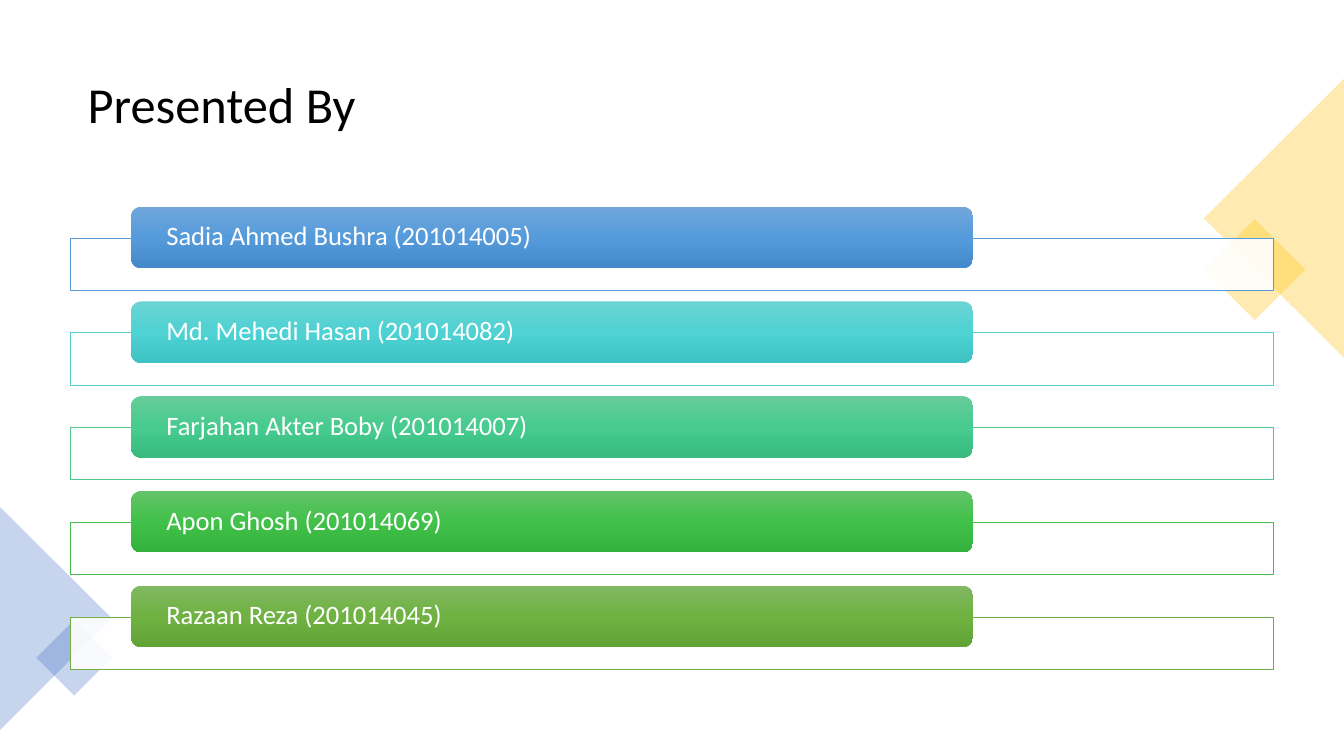
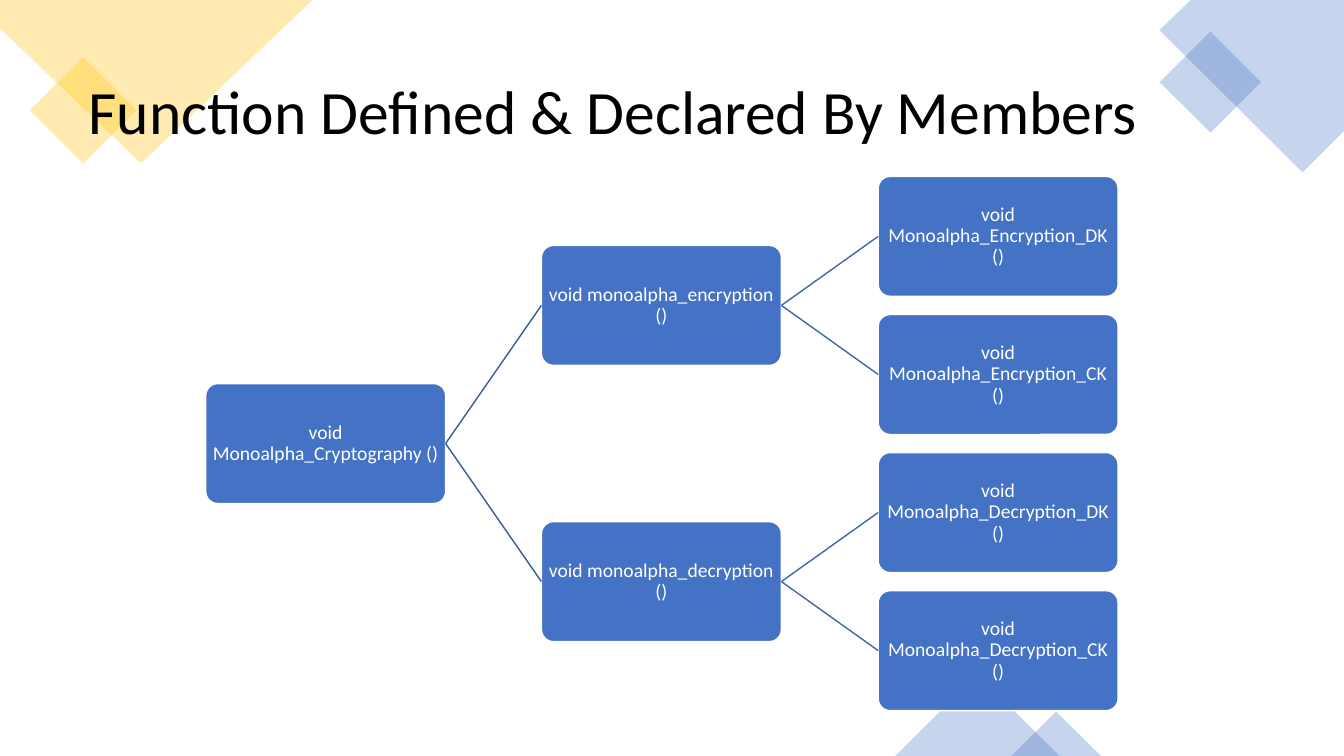
"""Build a two-slide deck: the presenters and the tree of functions they wrote."""
from copy import deepcopy

from lxml.etree import SubElement
from pptx import Presentation
from pptx.dml.color import RGBColor
from pptx.enum.shapes import MSO_CONNECTOR, MSO_SHAPE
from pptx.enum.text import MSO_ANCHOR, MSO_AUTO_SIZE, PP_ALIGN
from pptx.oxml.ns import qn
from pptx.util import Inches, Pt

FONT = "Calibri"
BLACK, WHITE = "000000", "FFFFFF"
BLUE, YELLOW = "4472C4", "FFC000"


def paint(fill, color, opacity=100):
    """Give a fill one solid colour, see-through below 100 percent."""
    fill.solid()
    fill.fore_color.rgb = RGBColor.from_string(color)
    if opacity < 100:
        solid = fill._xPr.find(qn("a:solidFill"))
        SubElement(solid[0], qn("a:alpha"), val=str(opacity * 1000))


def write(frame, text, size, color=WHITE, align=PP_ALIGN.LEFT, spacing=0.9,
          side=0.1, edge=0.05):
    """Put one formatted, vertically centred paragraph into a text frame."""
    frame.auto_size = MSO_AUTO_SIZE.NONE
    frame.word_wrap = True
    frame.vertical_anchor = MSO_ANCHOR.MIDDLE
    frame.margin_left = frame.margin_right = Inches(side)
    frame.margin_top = frame.margin_bottom = Inches(edge)
    para = frame.paragraphs[0]
    para.alignment = align
    para.line_spacing = spacing
    span = para.add_run()
    span.text = text
    span.font.name = FONT
    span.font.size = Pt(size)
    span.font.color.rgb = RGBColor.from_string(color)


deck = Presentation()
deck.slide_width, deck.slide_height = Inches(13.33), Inches(7.5)

SQUARE, TRIANGLE = MSO_SHAPE.RECTANGLE, MSO_SHAPE.ISOSCELES_TRIANGLE
pages = [
    {
        "title": ("Presented By", 36, 0.9, (0.77, 0.71, 11.93, 0.7)),
        "presets": [
            (SQUARE, (12.09, 2.32, 0.71, 0.71), 45, YELLOW),
            (TRIANGLE, (11.25, 1.47, 2.77, 1.39), 270, YELLOW),
            (TRIANGLE, (-0.55, 5.58, 2.21, 1.11), 90, BLUE),
            (SQUARE, (0.47, 6.26, 0.53, 0.53), 45, BLUE),
        ],
        "corners": [],
    },
    {
        "title": ("Function Defined & Declared By Members", 44, 1.0,
                  (0.78, 0.67, 10.93, 0.84)),
        "presets": [
            (SQUARE, (0.45, 0.72, 0.75, 0.75), 45, YELLOW),
            (SQUARE, (11.65, 0.46, 0.71, 0.71), 45, BLUE),
            (TRIANGLE, (8.88, 6.69, 1.63, 0.81), 0, BLUE),
            (TRIANGLE, (10.03, 7.06, 0.89, 0.44), 0, BLUE),
        ],
        "corners": [
            ([(0, 0), (3.1, 0), (1.4, 1.62), (0, 0.28)], YELLOW),
            ([(11.81, 0), (13.33, 0), (13.33, 1.3), (12.92, 1.71),
              (11.5, 0.3)], BLUE),
        ],
    },
]

for page in pages:
    slide = deck.slides.add_slide(deck.slide_layouts[5])
    for kind, place, rotation, color in page["presets"]:
        ornament = slide.shapes.add_shape(kind, *map(Inches, place))
        ornament.rotation = rotation
        paint(ornament.fill, color, 30)
        ornament.line.fill.background()
    for points, color in page["corners"]:
        outline = [(Inches(x), Inches(y)) for x, y in points]
        builder = slide.shapes.build_freeform(*outline[0])
        builder.add_line_segments(outline[1:], close=True)
        corner = builder.convert_to_shape()
        paint(corner.fill, color, 30)
        corner.line.fill.background()
    text, size, spacing, place = page["title"]
    title = slide.shapes.title
    title.left, title.top, title.width, title.height = map(Inches, place)
    write(title.text_frame, text, size, BLACK, spacing=spacing)
    slide.shapes._spTree.append(title._element)

presenters_slide, functions_slide = deck.slides

presenters = [
    ("Sadia Ahmed Bushra (201014005)", "5B9BD5", ("71A6DB", "559BDB", "448ACA")),
    ("Md. Mehedi Hasan (201014082)", "54CCCD", ("6CD3D3", "4ED2D3", "3EC2C3")),
    ("Farjahan Akter Boby (201014007)", "4DC58D", ("67CC9A", "47CB8E", "39BB7F")),
    ("Apon Ghosh (201014069)", "48BB4F", ("63C368", "42C14A", "34B23D")),
    ("Razaan Reza (201014045)", "70AD47", ("81B861", "6FB242", "62A336")),
]
BAR_TOP, BAR_STEP = 2.05, 0.94
for row, (name, border, shades) in enumerate(presenters):
    top = BAR_TOP + row * BAR_STEP
    panel = presenters_slide.shapes.add_shape(
        MSO_SHAPE.RECTANGLE, Inches(0.7), Inches(top + 0.31), Inches(11.93), Inches(0.52))
    paint(panel.fill, WHITE, 90)
    paint(panel.line.fill, border)
    panel.line.width = Pt(0.5)

    bar = presenters_slide.shapes.add_shape(
        MSO_SHAPE.ROUNDED_RECTANGLE, Inches(1.3), Inches(top), Inches(8.35), Inches(0.61))
    bar.line.fill.background()
    bar.fill.gradient()
    bar.fill.gradient_angle = 270
    stop_list = bar._element.spPr.find(qn("a:gradFill")).find(qn("a:gsLst"))
    stop_list.append(deepcopy(stop_list[0]))
    for stop, position, shade in zip(bar.fill.gradient_stops, (0, 0.5, 1), shades):
        stop.position = position
        stop.color.rgb = RGBColor.from_string(shade)
    write(bar.text_frame, name, 19, side=0.32, edge=0)

ROOT = "void Monoalpha_Cryptography ()"
ENCRYPTION = "void monoalpha_encryption ()"
DECRYPTION = "void monoalpha_decryption ()"
functions = [
    (ROOT, 0, 1.5, None),
    (ENCRYPTION, 1, 0.5, ROOT),
    (DECRYPTION, 1, 2.5, ROOT),
    ("void Monoalpha_Encryption_DK ()", 2, 0, ENCRYPTION),
    ("void Monoalpha_Encryption_CK ()", 2, 1, ENCRYPTION),
    ("void Monoalpha_Decryption_DK ()", 2, 2, DECRYPTION),
    ("void Monoalpha_Decryption_CK ()", 2, 3, DECRYPTION),
]
COLUMN_LEFTS = (2.04, 5.37, 8.71)
BRANCH_COLORS = (None, "365B9D", "3E67B2")
LEAF_TOP, LEAF_STEP = 1.75, 1.37
LEFT_SITE, RIGHT_SITE = 1, 3
boxes = {}
for name, level, row, parent in functions:
    box = functions_slide.shapes.add_shape(
        MSO_SHAPE.ROUNDED_RECTANGLE, Inches(COLUMN_LEFTS[level]),
        Inches(LEAF_TOP + row * LEAF_STEP), Inches(2.38), Inches(1.19))
    box.adjustments[0] = 0.1
    paint(box.fill, BLUE)
    paint(box.line.fill, WHITE)
    box.line.width = Pt(1)
    write(box.text_frame, name, 14, align=PP_ALIGN.CENTER, side=0.01, edge=0.01)
    boxes[name] = box
    if parent:
        branch = functions_slide.shapes.add_connector(MSO_CONNECTOR.STRAIGHT, 0, 0, 0, 0)
        branch.begin_connect(boxes[parent], RIGHT_SITE)
        branch.end_connect(box, LEFT_SITE)
        paint(branch.line.fill, BRANCH_COLORS[level])
        branch.line.width = Pt(1)

for slide in deck.slides:
    for shape in slide.shapes:
        SubElement(shape._element.spPr, qn("a:effectLst"))

deck.save("out.pptx")
